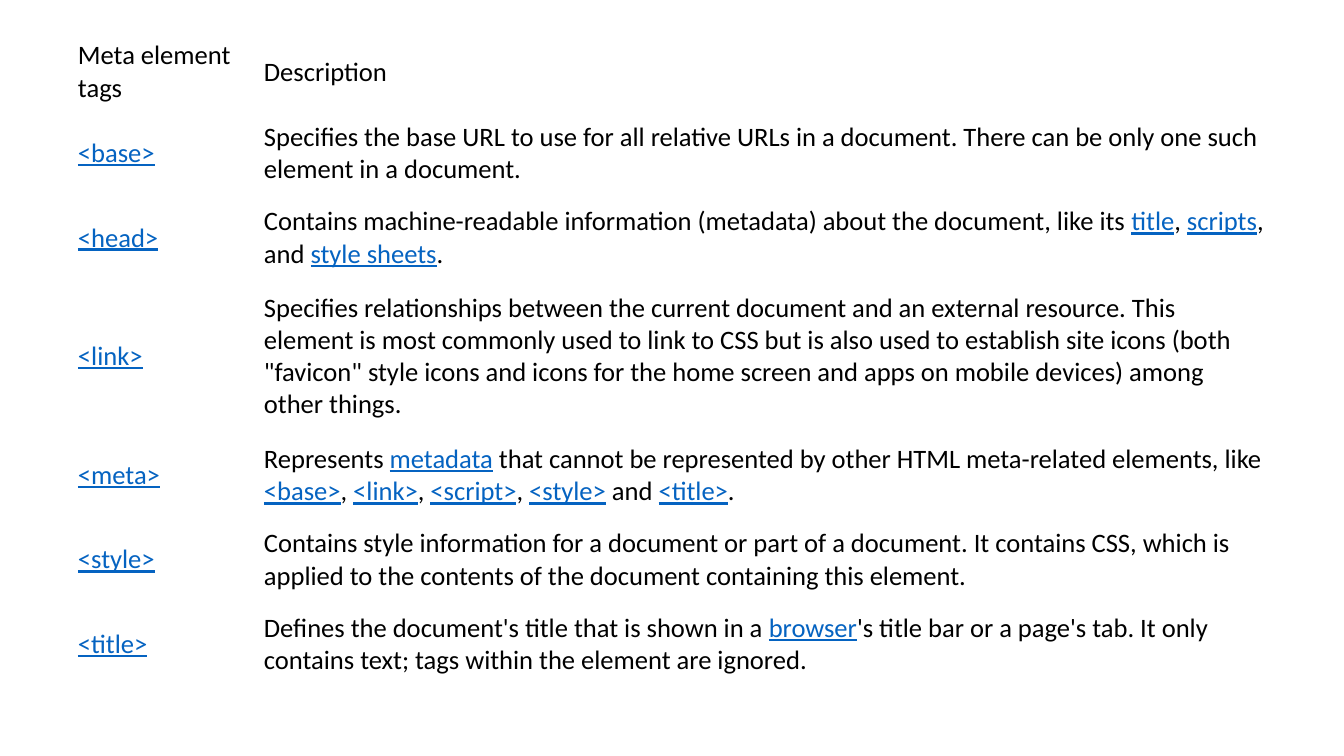
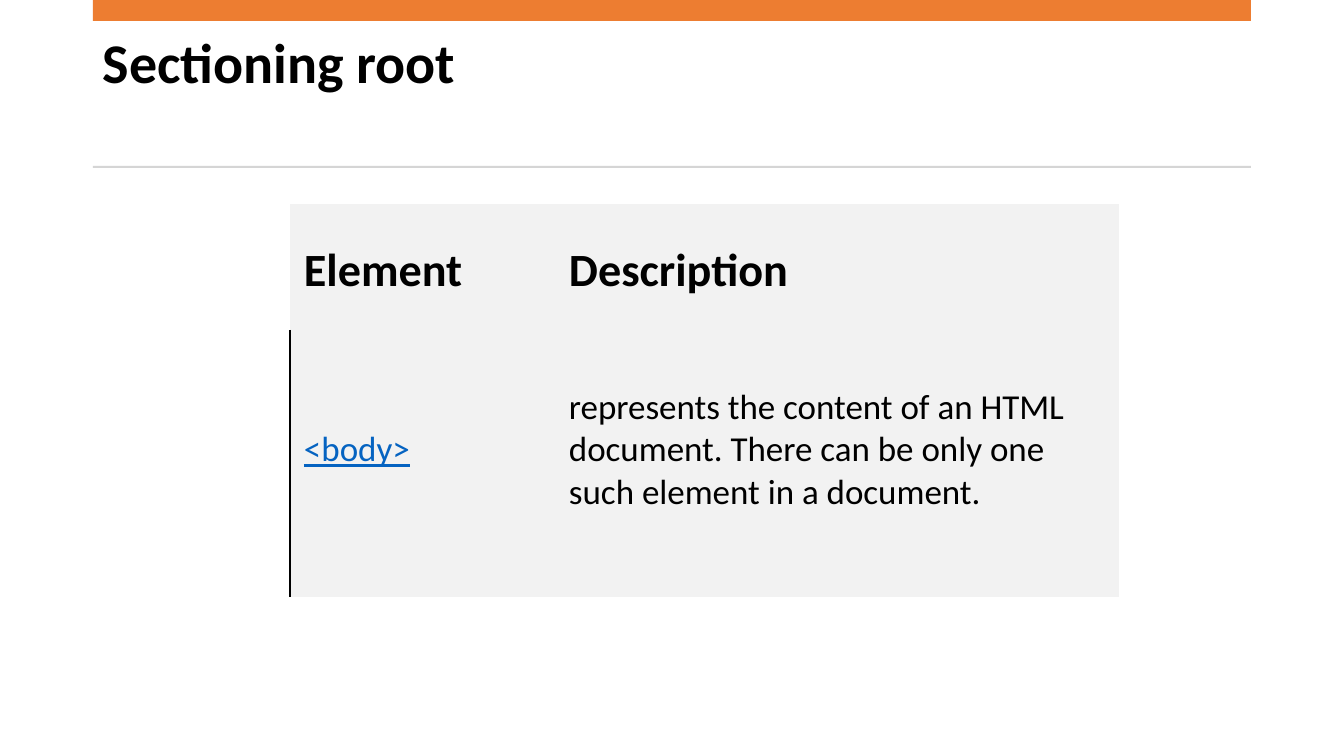
from lxml import etree
from pptx import Presentation
from pptx.dml.color import RGBColor
from pptx.enum.shapes import MSO_SHAPE
from pptx.enum.text import MSO_ANCHOR
from pptx.oxml.ns import qn
from pptx.util import Pt

RECT = MSO_SHAPE.RECTANGLE
TOP, MIDDLE, BOTTOM = MSO_ANCHOR.TOP, MSO_ANCHOR.MIDDLE, MSO_ANCHOR.BOTTOM
FONT = "Calibri"
SCALE = 914400 / 100.8
COLORS = {
    "text": "000000",
    "link": "0563C1",
    "paper": "FFFFFF",
    "panel": "F2F2F2",
    "band": "ED7D31",
    "rule": "D5D5D5",
}
LEFT, WIDTH = 93, 1158

TAGS = [
    ("Meta element tags", "Description"),
    ("|<base>|", "Specifies the base URL to use for all relative URLs in a document. "
     "There can be only one such element in a document."),
    ("|<head>|", "Contains machine-readable information (metadata) about the document, "
     "like its |title|, |scripts|, and |style sheets|."),
    ("|<link>|", "Specifies relationships between the current document and an external "
     "resource. This element is most commonly used to link to CSS but is also used to "
     "establish site icons (both \"favicon\" style icons and icons for the home screen "
     "and apps on mobile devices) among other things."),
    ("|<meta>|", "Represents |metadata| that cannot be represented by other HTML "
     "meta-related elements, like |<base>|, |<link>|, |<script>|, |<style>| and |<title>|."),
    ("|<style>|", "Contains style information for a document or part of a document. "
     "It contains CSS, which is applied to the contents of the document containing "
     "this element."),
    ("|<title>|", "Defines the document's title that is shown in a |browser|'s title bar "
     "or a page's tab. It only contains text; tags within the element are ignored."),
]
ROOTS = [
    ("Element", "Description"),
    ("|<body>|", "represents the content of an HTML document. There can be only one such "
     "element in a document."),
]


def px(*sizes):
    return [round(size * SCALE) for size in sizes]


def tint(name):
    return RGBColor.from_string(COLORS[name])


class Deck:
    """Holds the style and the current slide."""

    def __init__(self):
        self.prs = Presentation()
        self.prs.slide_width, self.prs.slide_height = px(1344, 756)
        self.slide = None

    def page(self):
        self.slide = self.prs.slides.add_slide(self.prs.slide_layouts[6])

    def label(self, para, text, size, bold=False):
        font = para.font
        font.name, font.size, font.bold = FONT, Pt(size), bold
        font.color.rgb = tint("text")
        for i, part in enumerate(text.split("|")):
            if part:
                run = para.add_run()
                run.text = part
                if i % 2:
                    run.font.color.rgb = tint("link")
                    run.font.underline = True

    def bar(self, top, height, color):
        shape = self.slide.shapes.add_shape(RECT, *px(LEFT, top, WIDTH, height))
        shape.shadow.inherit = False
        shape.fill.solid()
        shape.fill.fore_color.rgb = tint(color)
        shape.line.fill.background()

    def title(self, text):
        self.bar(0, 21, "band")
        self.bar(166, 2, "rule")
        box = self.slide.shapes.add_textbox(*px(LEFT, 35, WIDTH, 120))
        frame = box.text_frame
        frame.word_wrap = True
        frame.vertical_anchor = TOP
        frame.margin_top = 0
        para = frame.paragraphs[0]
        para.line_spacing = 0.9
        self.label(para, text, 40, True)

    def edges(self, cell, marked):
        props = cell._tc.get_or_add_tcPr()
        for side in "LRTB":
            line = etree.SubElement(props, qn(f"a:ln{side}"), w=str(Pt(1)))
            if side in marked:
                fill = etree.SubElement(line, qn("a:solidFill"))
                etree.SubElement(fill, qn("a:srgbClr"), val=COLORS["text"])
            else:
                etree.SubElement(line, qn("a:noFill"))

    def table(self, spot, cols, rows, data, fill, pads, size, head=None, mark=""):
        frame = self.slide.shapes.add_table(
            len(rows), len(cols), *px(*spot, sum(cols), sum(rows)))
        table = frame.table
        table.first_row = table.horz_banding = False
        for col, width in zip(table.columns, px(*cols)):
            col.width = width
        for row, height in zip(table.rows, px(*rows)):
            row.height = height
        for r, texts in enumerate(data):
            large = head is not None and r == 0
            for c, text in enumerate(texts):
                cell = table.cell(r, c)
                self.edges(cell, mark if r and c == 0 else "")
                cell.fill.solid()
                cell.fill.fore_color.rgb = tint(fill)
                (cell.margin_left, cell.margin_top,
                 cell.margin_right, cell.margin_bottom) = px(*pads)
                cell.vertical_anchor = BOTTOM if large else MIDDLE
                self.label(cell.text_frame.paragraphs[0], text,
                           head if large else size, large)


def main():
    deck = Deck()
    deck.page()
    deck.table((71, 33), (186, 1016), (78, 85, 84, 153, 85, 84, 85), TAGS,
               "paper", (7, 3, 7, 3), 19)
    deck.page()
    deck.title("Sectioning root")
    deck.table((290, 204), (265, 564), (126, 267), ROOTS,
               "panel", (14, 4, 21, 31), 25, head=33, mark="L")
    deck.prs.save("out.pptx")


if __name__ == "__main__":
    main()
